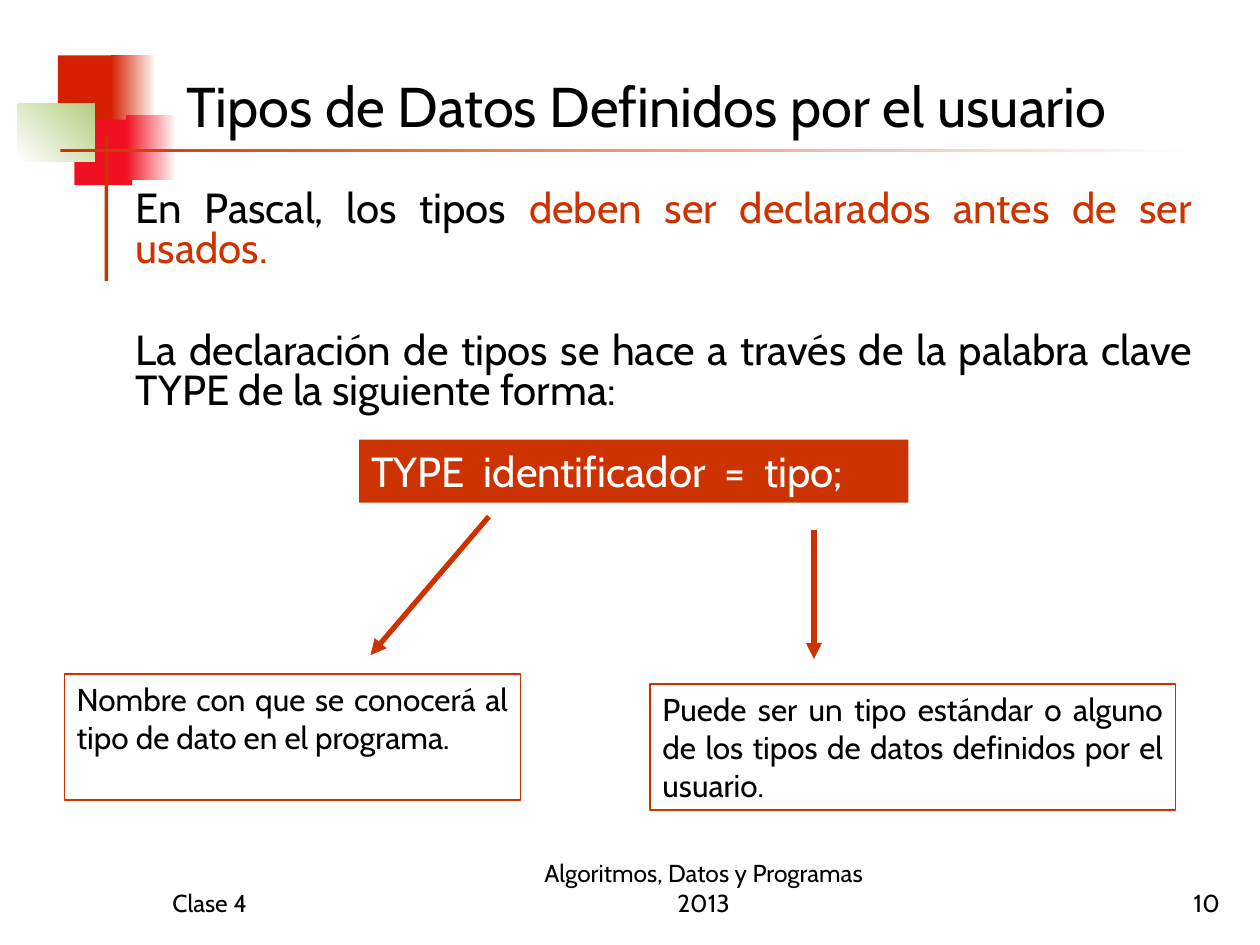
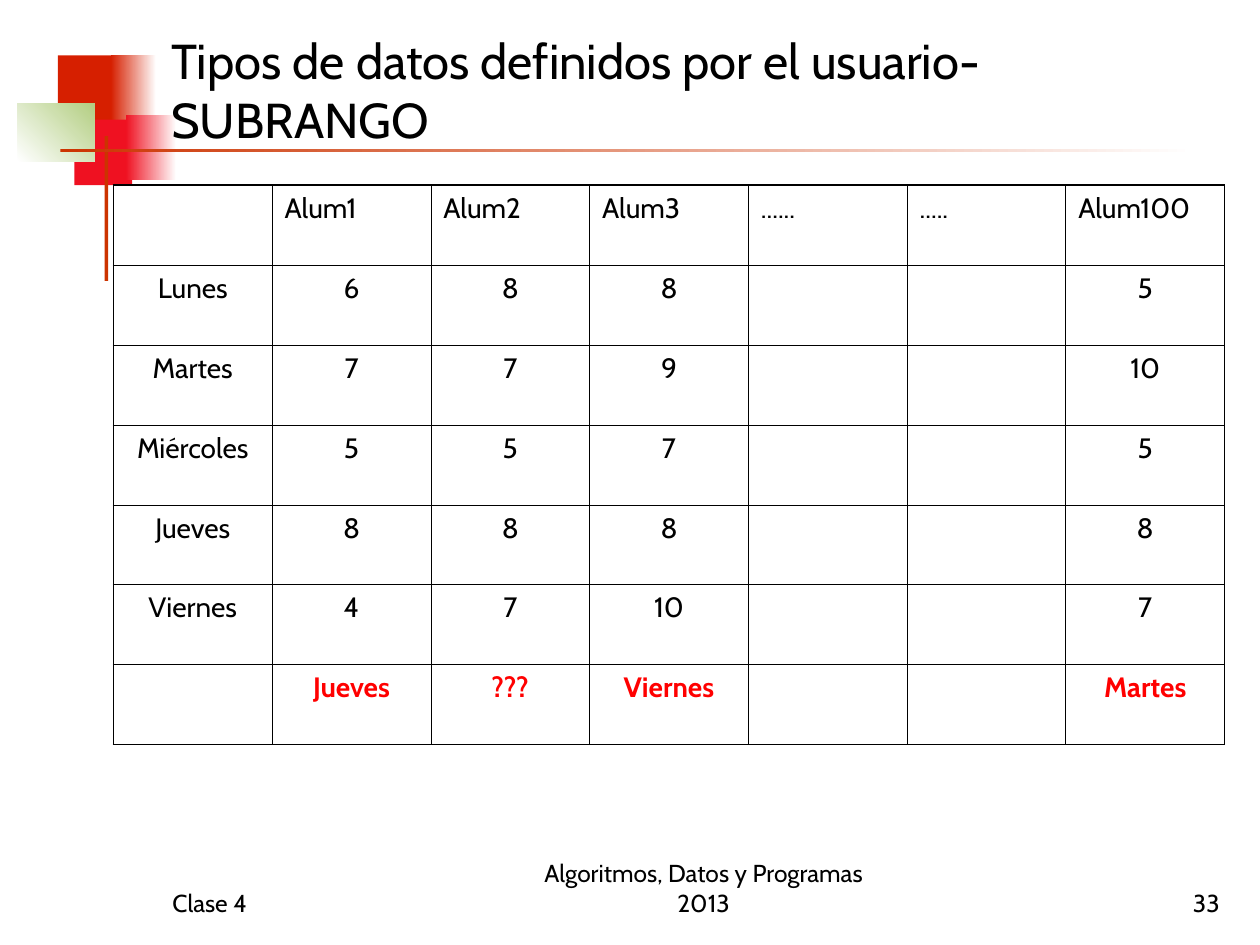
from lxml import etree
from pptx import Presentation
from pptx.dml.color import RGBColor
from pptx.enum.shapes import MSO_CONNECTOR, MSO_SHAPE
from pptx.enum.text import MSO_ANCHOR, MSO_AUTO_SIZE, PP_ALIGN
from pptx.oxml.ns import qn
from pptx.util import Inches, Pt

FONT = "Cabin"
BLACK = RGBColor(0x00, 0x00, 0x00)
WHITE = RGBColor(0xFF, 0xFF, 0xFF)
RUST = RGBColor(0xCC, 0x33, 0x00)
DARK_RED = RGBColor(0xD6, 0x1F, 0x00)
BRIGHT_RED = RGBColor(0xEF, 0x11, 0x21)
GREEN = RGBColor(0xB3, 0xCE, 0x82)
RESULT_RED = RGBColor(0xFF, 0x00, 0x00)

RECTANGLE = MSO_SHAPE.RECTANGLE
STRAIGHT = MSO_CONNECTOR.STRAIGHT
TOP, BOTTOM = MSO_ANCHOR.TOP, MSO_ANCHOR.BOTTOM
NO_AUTOFIT = MSO_AUTO_SIZE.NONE
LEFT, CENTER, RIGHT, JUSTIFY = PP_ALIGN.LEFT, PP_ALIGN.CENTER, PP_ALIGN.RIGHT, PP_ALIGN.JUSTIFY

TITLE_ONLY = 5
THIN, THICK = Pt(0.45), Pt(1.08)

# Box (left, top, width, height), colours from start to end, gradient angle
ORNAMENTS = [
    ((0.46, 0.44, 0.48, 0.52), (DARK_RED,), 0),
    ((0.88, 0.44, 0.36, 0.52), (DARK_RED, WHITE), 0),
    ((0.59, 0.95, 0.46, 0.52), (BRIGHT_RED,), 0),
    ((1, 0.91, 0.4, 0.52), (BRIGHT_RED, WHITE), 0),
    ((0.14, 0.82, 0.61, 0.46), (WHITE, GREEN), 45),
    ((0.83, 1.08, 0.03, 1.15), (RUST,), 0),
    ((0.48, 1.18, 9, 0.03), (RUST, WHITE), 0),
]

GRADES = [
    ["", "Alum1", "Alum2", "Alum3", "......", ".....", "Alum100"],
    ["Lunes", "6", "8", "8", "", "", "5"],
    ["Martes", "7", "7", "9", "", "", "10"],
    ["Miércoles", "5", "5", "7", "", "", "5"],
    ["Jueves", "8", "8", "8", "", "", "8"],
    ["Viernes", "4", "7", "10", "", "", "7"],
    ["", "Jueves", "???", "Viernes", "", "", "Martes"],
]


def inches(box):
    return [Inches(length) for length in box]


def format_runs(paragraph, size, color=BLACK, align=LEFT, bold=False):
    paragraph.alignment = align
    for run in paragraph.runs:
        run.font.name = FONT
        run.font.size = Pt(size)
        run.font.bold = bold
        run.font.color.rgb = color


def write(shape, text, size, color=BLACK, align=LEFT, anchor=TOP):
    frame = shape.text_frame
    frame.text = text
    frame.word_wrap = True
    frame.auto_size = NO_AUTOFIT
    frame.vertical_anchor = anchor
    format_runs(frame.paragraphs[0], size, color, align)


def add_rectangle(slide, box):
    """Add a rectangle without shadow, fill or line."""
    rectangle = slide.shapes.add_shape(RECTANGLE, *inches(box))
    rectangle.shadow.inherit = False
    rectangle.fill.background()
    rectangle.line.fill.background()
    return rectangle


def add_ornaments(slide):
    for box, colors, angle in ORNAMENTS:
        fill = add_rectangle(slide, box).fill
        if len(colors) == 1:
            fill.solid()
            fill.fore_color.rgb = colors[0]
            continue
        fill.gradient()
        fill.gradient_angle = angle
        for stop, color, position in zip(fill.gradient_stops, colors, (0, 1)):
            stop.color.rgb = color
            stop.position = position


def add_footer(slide, number, top=6.83, height=0.5):
    for text, left, width, align in [
        ("Clase 4", 1.27, 2.08, LEFT),
        ("Algoritmos, Datos y Programas 2013", 4, 3.17, CENTER),
        (number, 7.7, 2.08, RIGHT),
    ]:
        footer = slide.shapes.add_textbox(*inches((left, top, width, height)))
        write(footer, text, 14, align=align, anchor=BOTTOM)


def add_titled_slide(deck, title_text, title_box, title_size, number):
    """Add a slide with the ornaments behind its title, and the footer."""
    slide = deck.slides.add_slide(deck.slide_layouts[TITLE_ONLY])
    add_ornaments(slide)
    title = slide.shapes.title
    title.left, title.top, title.width, title.height = inches(title_box)
    write(title, title_text, title_size, anchor=BOTTOM)
    title._element.getparent().append(title._element)
    add_footer(slide, number)
    return slide


def add_explanation(slide, box):
    frame = slide.shapes.add_textbox(*inches(box)).text_frame
    frame.word_wrap = True
    rule = frame.paragraphs[0]
    rule.text = "En Pascal, los tipos "
    emphasis = rule.add_run()
    emphasis.text = "deben ser declarados antes de ser usados."
    declaration = frame.add_paragraph()
    declaration.text = ("La declaración de tipos se hace a través de la palabra clave "
                        "TYPE de la siguiente forma:")
    declaration.space_before = Pt(35)
    for paragraph in (rule, declaration):
        paragraph.line_spacing = 0.8
        format_runs(paragraph, 24, align=JUSTIFY)
    emphasis.font.color.rgb = RUST


def add_syntax(slide, box):
    syntax = add_rectangle(slide, box)
    syntax.fill.solid()
    syntax.fill.fore_color.rgb = RUST
    write(syntax, "TYPE  identificador  =  tipo;", 24, WHITE)


def add_callout(slide, text, box, arrow_start, arrow_end):
    """Add an outlined note; the arrow ends are offsets from its top left corner."""
    note = add_rectangle(slide, box)
    note.line.color.rgb = RUST
    note.line.width = Pt(0.75)
    write(note, text, 18, align=JUSTIFY)
    left, top = box[:2]
    ends = [(left + x, top + y) for x, y in (arrow_start, arrow_end)]
    arrow = slide.shapes.add_connector(STRAIGHT, *inches(ends[0] + ends[1]))
    arrow.line.color.rgb = RUST
    arrow.line.width = Pt(3)
    etree.SubElement(arrow.line._get_or_add_ln(), qn("a:tailEnd"), type="triangle")
    etree.SubElement(arrow._element.spPr, qn("a:effectLst"))


def set_borders(cell, widths):
    """Draw black borders; widths come as left, right, top, bottom."""
    properties = cell._tc.get_or_add_tcPr()
    for position, (side, width) in enumerate(zip(("lnL", "lnR", "lnT", "lnB"), widths)):
        border = etree.Element(qn(f"a:{side}"), w=str(int(width)))
        fill = etree.SubElement(border, qn("a:solidFill"))
        etree.SubElement(fill, qn("a:srgbClr"), val=str(BLACK))
        properties.insert(position, border)


def add_grades(slide, box):
    last_row, last_column = len(GRADES) - 1, len(GRADES[0]) - 1
    table = slide.shapes.add_table(last_row + 1, last_column + 1, *inches(box)).table
    table.first_row = table.horz_banding = False
    for r, row in enumerate(GRADES):
        for c, text in enumerate(row):
            cell = table.cell(r, c)
            cell.text = text
            cell.fill.background()
            is_result = r == last_row
            format_runs(cell.text_frame.paragraphs[0], 16,
                        RESULT_RED if is_result else BLACK,
                        CENTER if r else LEFT, is_result)
            on_edge = (c == 0, c == last_column, r == 0, is_result)
            set_borders(cell, [THICK if edge else THIN for edge in on_edge])


def build_declaration_slide(deck):
    slide = add_titled_slide(deck, "Tipos de Datos Definidos por el usuario",
                             (1.38, 0.32, 7.96, 0.83), 32, "10")
    add_explanation(slide, (0.98, 1.47, 8.58, 2.36))
    add_syntax(slide, (2.85, 3.49, 4.36, 0.5))
    add_callout(slide, "Nombre con que se conocerá al tipo de dato en el programa.",
                (0.51, 5.35, 3.62, 1), (3.37, -1.25), (2.43, -0.15))
    add_callout(slide, "Puede ser un tipo estándar o alguno de los tipos de datos "
                "definidos por el usuario.",
                (5.16, 5.43, 4.17, 1), (1.3, -1.22), (1.3, -0.2))


def build_subrange_slide(deck):
    slide = add_titled_slide(deck, "Tipos de datos definidos por el usuario-SUBRANGO",
                             (1.26, 0.23, 8.52, 1), 28, "33")
    add_grades(slide, (0.9, 1.47, 8.82, 4.44))


def main():
    deck = Presentation()
    deck.slide_width, deck.slide_height = Inches(10), Inches(7.5)
    build_declaration_slide(deck)
    build_subrange_slide(deck)
    deck.save("out.pptx")


if __name__ == "__main__":
    main()
